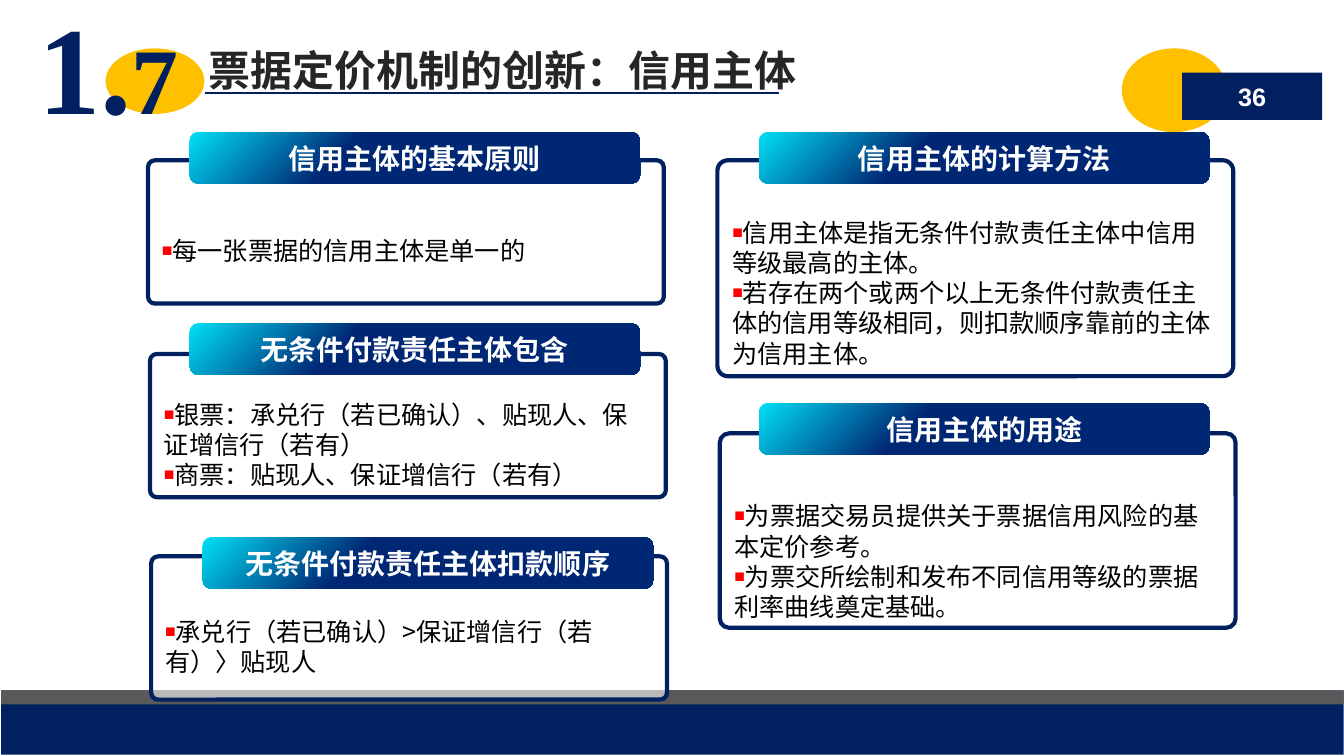
import pptx
import pptx.util
import pptx.dml.color
import pptx.enum.shapes
import pptx.enum.text
import pptx.oxml.ns
import lxml.etree

Cm = pptx.util.Cm
Pt = pptx.util.Pt
Shapes = pptx.enum.shapes.MSO_SHAPE
Align = pptx.enum.text.PP_ALIGN
Anchor = pptx.enum.text.MSO_ANCHOR
qn = pptx.oxml.ns.qn

COLORS = {
    "navy": "002060", "amber": "FFC000", "grey": "595959", "white": "FFFFFF",
    "black": "000000", "title": "262626", "cyan": "00DFF6", "blue": "002774",
    "red": "FF0000",
}
CHINESE = "Noto Sans CJK SC"
HEADER_SIZE = (11.35, 1.3)
PANEL_WIDTH = 13

PANELS = [
    dict(box=(3.73, 4.04, PANEL_WIDTH, 3.61), header_at=(4.78, 3.33), text_top=1.85,
         heading="信用主体的基本原则",
         items=["每一张票据的信用主体是单一的"]),
    dict(box=(3.78, 8.92, PANEL_WIDTH, 3.61), header_at=(4.78, 8.15), text_top=1.09,
         heading="无条件付款责任主体包含",
         items=["银票：承兑行（若已确认）、贴现人、保证增信行（若有）",
                "商票：贴现人、保证增信行（若有）"]),
    dict(box=(3.81, 14.02, PANEL_WIDTH, 3.61), header_at=(5.11, 13.54), text_top=1.45,
         heading="无条件付款责任主体扣款顺序",
         items=["承兑行（若已确认）>保证增信行（若有）〉贴现人"]),
    dict(box=(18.08, 4.04, PANEL_WIDTH, 5.44), header_at=(19.13, 3.33), text_top=1.35,
         heading="信用主体的计算方法",
         items=["信用主体是指无条件付款责任主体中信用等级最高的主体。",
                "若存在两个或两个以上无条件付款责任主体的信用等级相同，"
                "则扣款顺序靠前的主体为信用主体。"]),
    dict(box=(18.14, 10.92, PANEL_WIDTH, 4.9), header_at=(19.13, 10.16), text_top=1.63,
         heading="信用主体的用途",
         items=["为票据交易员提供关于票据信用风险的基本定价参考。",
                "为票交所绘制和发布不同信用等级的票据利率曲线奠定基础。"]),
]


def rgb(name):
    return pptx.dml.color.RGBColor.from_string(COLORS[name])


def apply_format(target, **values):
    for name, value in values.items():
        setattr(target, name, value)


def place(box):
    return [Cm(length) for length in box]


def format_frame(frame, anchor=Anchor.MIDDLE, wrap=True, left=0.3, top=0.0, right=0.3, bottom=0.0):
    apply_format(frame, word_wrap=wrap, vertical_anchor=anchor,
                 margin_left=Cm(left), margin_top=Cm(top),
                 margin_right=Cm(right), margin_bottom=Cm(bottom))


def add_run(paragraph, text, size, color, bold=False, font=CHINESE):
    run = paragraph.add_run()
    run.text = text
    apply_format(run.font, size=Pt(size), bold=bold, name=font)
    run.font.color.rgb = rgb(color)
    east_asian = lxml.etree.SubElement(run.font._element, qn("a:ea"))
    east_asian.set("typeface", font)


def add_block(slide, kind, box, color, corner=None):
    shape = slide.shapes.add_shape(kind, *place(box))
    shape.shadow.inherit = False
    shape.fill.solid()
    shape.fill.fore_color.rgb = rgb(color)
    shape.line.fill.background()
    if corner is not None:
        shape.adjustments[0] = corner
    return shape


def add_bullet(paragraph):
    properties = paragraph._p.get_or_add_pPr()
    properties.set("marL", "0")
    properties.set("indent", "0")
    color = lxml.etree.SubElement(properties, qn("a:buClr"))
    lxml.etree.SubElement(color, qn("a:srgbClr")).set("val", COLORS["red"])
    for tag, name, value in [("a:buSzPct", "val", "70000"),
                             ("a:buFont", "typeface", "Arial"),
                             ("a:buChar", "char", "■")]:
        lxml.etree.SubElement(properties, qn(tag)).set(name, value)


def add_footer(slide, box):
    left, top, width, height = box
    add_block(slide, Shapes.RECTANGLE, box, "navy")
    add_block(slide, Shapes.RECTANGLE, (left, top, width, 0.35), "grey")


def add_title(slide, box):
    left, top, width, height = box
    add_block(slide, Shapes.OVAL, (left + 2.0, top + 1.22, 2.49, 1.65), "amber")

    title = slide.shapes.title
    position = place((left + 4.6, top + 0.97, width - 4.6, 1.55))
    apply_format(title, **dict(zip(("left", "top", "width", "height"), position)))
    format_frame(title.text_frame, wrap=False, left=0, right=0)
    paragraph = title.text_frame.paragraphs[0]
    paragraph.alignment = Align.LEFT
    add_run(paragraph, "票据定价机制的创新：信用主体", 30, "title", bold=True)

    underline = slide.shapes.add_connector(
        pptx.enum.shapes.MSO_CONNECTOR.STRAIGHT,
        *place((left + 4.5, top + 2.34, left + 18.97, top + 2.34)))
    underline.line.width = Pt(1.5)
    underline.line.color.rgb = rgb("navy")
    lxml.etree.SubElement(underline._element.spPr, qn("a:effectLst"))

    number = slide.shapes.add_textbox(*place((left, top - 0.41, 7.87, height)))
    format_frame(number.text_frame, anchor=Anchor.TOP, top=0.15, bottom=0.15)
    for text, size in [("1.", 89), ("7", 67)]:
        add_run(number.text_frame.paragraphs[0], text, size, "navy",
                bold=True, font="Times New Roman")


def add_page_number(slide, box):
    left, top, width, height = box
    add_block(slide, Shapes.OVAL, (left, top, 2.64, height), "amber")
    badge = add_block(slide, Shapes.RECTANGLE,
                      (left + 1.52, top + 0.61, width - 1.52, 1.19), "navy")
    format_frame(badge.text_frame)
    paragraph = badge.text_frame.paragraphs[0]
    paragraph.alignment = Align.CENTER
    add_run(paragraph, "36", 18, "white", bold=True, font="Arial")


def add_panel(slide, box, header_at, text_top, heading, items):
    panel = add_block(slide, Shapes.ROUNDED_RECTANGLE, box, "white", corner=0.048)
    fill_color = panel._element.spPr.find(qn("a:solidFill"))[0]
    lxml.etree.SubElement(fill_color, qn("a:alpha")).set("val", "58000")
    panel.line.color.rgb = rgb("navy")
    panel.line.width = Pt(3)
    frame = panel.text_frame
    format_frame(frame, anchor=Anchor.TOP, top=text_top)
    for index, item in enumerate(items):
        paragraph = frame.paragraphs[0] if index == 0 else frame.add_paragraph()
        apply_format(paragraph, alignment=Align.LEFT, line_spacing=Pt(21.6))
        add_bullet(paragraph)
        add_run(paragraph, item, 18, "black")

    header = add_block(slide, Shapes.ROUNDED_RECTANGLE, header_at + HEADER_SIZE,
                       "blue", corner=0.167)
    header.fill.gradient()
    header.fill.gradient_angle = 315
    for stop, color, position in zip(header.fill.gradient_stops, ("cyan", "blue"), (0, 0.35)):
        stop.color.rgb = rgb(color)
        stop.position = position
    format_frame(header.text_frame)
    paragraph = header.text_frame.paragraphs[0]
    paragraph.alignment = Align.CENTER
    add_run(paragraph, heading, 20, "white", bold=True)


presentation = pptx.Presentation()
apply_format(presentation, slide_width=Cm(33.87), slide_height=Cm(19.05))
slide = presentation.slides.add_slide(presentation.slide_layouts[5])
add_footer(slide, (0.03, 17.4, 33.83, 1.62))
add_title(slide, (0.66, 0, 21, 4.11))
add_page_number(slide, (28.27, 1.22, 5.05, 2.11))
for panel in PANELS:
    add_panel(slide, **panel)
presentation.save("out.pptx")
